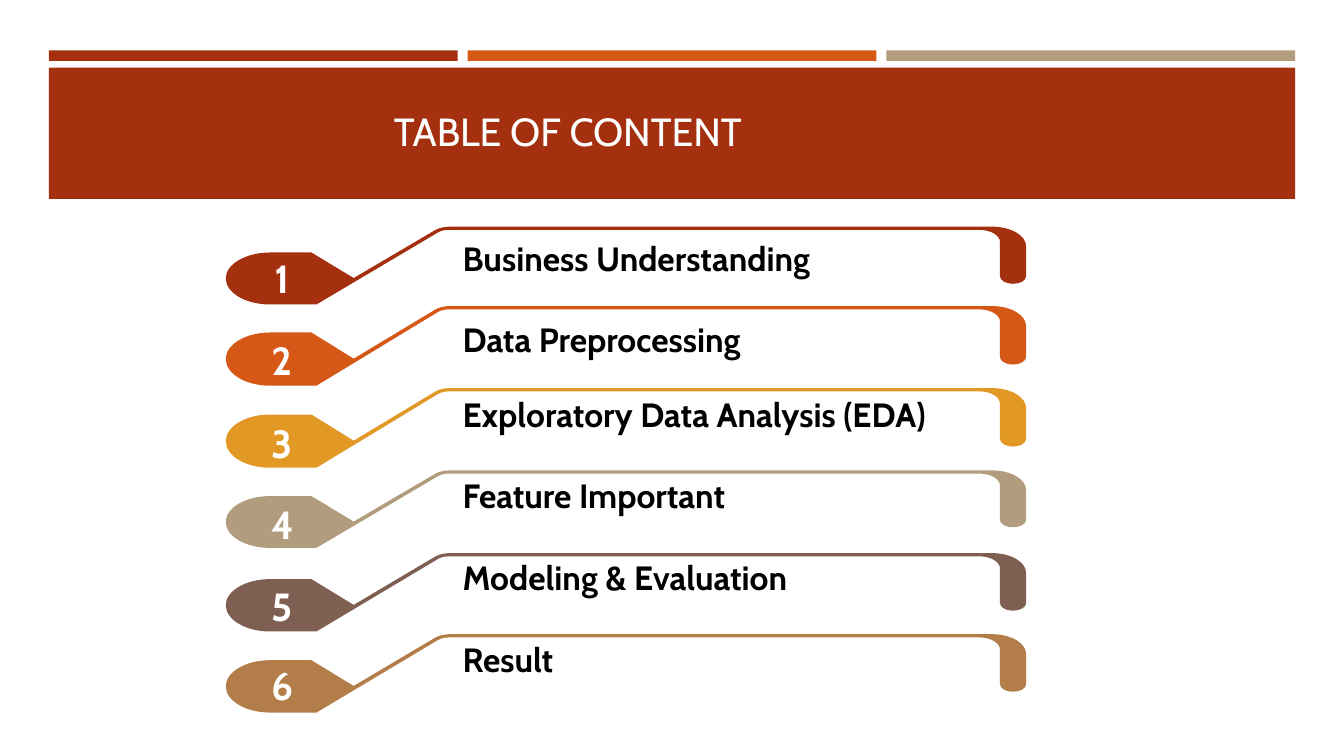
from pptx import Presentation
from pptx.dml.color import RGBColor
from pptx.enum.shapes import MSO_SHAPE
from pptx.enum.text import MSO_ANCHOR as Anchor, PP_ALIGN as Align
from pptx.oxml.ns import qn
from pptx.oxml.xmlchemy import OxmlElement
from pptx.util import Pt

RED = RGBColor(0xA5, 0x30, 0x0F)
ORANGE = RGBColor(0xD5, 0x58, 0x16)
AMBER = RGBColor(0xE1, 0x98, 0x25)
TAN = RGBColor(0xB1, 0x9C, 0x7D)
BROWN = RGBColor(0x7F, 0x5F, 0x52)
BRONZE = RGBColor(0xB2, 0x7D, 0x49)
WHITE = RGBColor(0xFF, 0xFF, 0xFF)
BLACK = RGBColor(0, 0, 0)

TITLE = {"name": "Cabin", "size": Pt(28), "bold": False}
NUMBER = {"name": "Cabin", "size": Pt(28), "bold": True}
LABEL = {"name": "Cabin", "size": Pt(24), "bold": True}

WIDE, NARROW = 392.4, 348.5

# Wording, colour, ribbon top and height, label offset and width, number offset
ENTRIES = [
    ("Business Understanding", RED, 161.9, 55.6, 4.4, WIDE, 15.9),
    ("Data Preprocessing", ORANGE, 218.6, 56.9, 5.3, NARROW, 18.1),
    ("Exploratory Data Analysis (EDA)", AMBER, 277.2, 56.9, 0.7, WIDE, 18.7),
    ("Feature Important", TAN, 336, 55.4, -0.5, NARROW, 17.5),
    ("Modeling & Evaluation", BROWN, 395.1, 56, -0.9, NARROW, 17),
    ("Result", BRONZE, 453, 56, -0.1, NARROW, 15.8),
]

# Ribbon outline: one point is a line, three points are a curve
RIBBON_HEIGHT = 56.9
RIBBON_START = (547.2, 0)
RIBBON = [
    [(160.6, 0)],
    [(156.2, 0), (151.9, 0.9), (149, 2.9)],
    [(91.4, 37.6)],
    [(61.2, 18.9)],
    [(31.7, 18.9)],
    [(14.4, 18.9), (0, 27.4), (0, 37.8)],
    [(0, 37.8)],
    [(0, 48.4), (14.2, 56.9), (31.7, 56.9)],
    [(61.2, 56.9)],
    [(64.8, 56.9)],
    [(151.2, 4.5)],
    [(153.4, 3.1), (156.2, 2.4), (159.1, 2.4)],
    [(538.6, 2.4)],
    [(546.5, 2.4), (553, 6.5), (553, 11)],
    [(553, 36.2)],
    [(553, 39.4), (557.3, 41.8), (562.3, 41.8)],
    [(562.3, 41.8)],
    [(567.4, 41.8), (571.7, 39.4), (571.7, 36.2)],
    [(571.7, 14.4)],
    [(571.7, 6.5), (560.9, 0), RIBBON_START],
]


def paint(shape, color):
    shape.shadow.inherit = False
    shape.fill.solid()
    shape.fill.fore_color.rgb = color
    shape.line.fill.background()


def add_bar(slide, left, top, width, height, color):
    bar = slide.shapes.add_shape(
        MSO_SHAPE.RECTANGLE, Pt(left), Pt(top), Pt(width), Pt(height))
    paint(bar, color)


def add_text(slide, box, text, font_format, color, frame_format, align):
    frame = slide.shapes.add_textbox(*map(Pt, box)).text_frame
    for name, value in frame_format.items():
        setattr(frame, name, value)
    paragraph = frame.paragraphs[0]
    paragraph.alignment = align
    run = paragraph.add_run()
    run.text = text
    for name, value in font_format.items():
        setattr(run.font, name, value)
    run.font.color.rgb = color


def round_corners(shape):
    """Merge the three line ends of each curved segment into one Bezier curve."""
    lines = iter(list(shape._element.iter(qn("a:lnTo"))))
    for segment in RIBBON:
        members = [next(lines) for _ in segment]
        if len(members) == 3:
            curve = OxmlElement("a:cubicBezTo")
            members[0].addprevious(curve)
            for line in members:
                curve.append(line[0])
                line.getparent().remove(line)


def add_ribbon(slide, left, top, height, color):
    stretch = height / RIBBON_HEIGHT
    outline = [RIBBON_START] + [point for segment in RIBBON for point in segment]
    points = [(Pt(x), Pt(y * stretch)) for x, y in outline]
    builder = slide.shapes.build_freeform(*points[0])
    builder.add_line_segments(points[1:], close=True)
    ribbon = builder.convert_to_shape(Pt(left), Pt(top))
    round_corners(ribbon)
    paint(ribbon, color)


def add_header(slide, left, top, width):
    # Three thin bars above the title band
    gap = 7.2
    bar_width = (width - 2 * gap) / 3
    for index, color in enumerate((RED, ORANGE, TAN)):
        add_bar(slide, left + index * (bar_width + gap), top, bar_width, 7.5, color)
    # Title band
    add_bar(slide, left, top + 12.3, width, 93.8, RED)
    add_text(slide, (left + 1, top + 17.3, 739.4, 79.9), "TABLE OF CONTENT", TITLE, WHITE,
             {"word_wrap": True, "vertical_anchor": Anchor.MIDDLE}, Align.CENTER)


def add_entry(slide, left, number, entry):
    text, color, top, height, label_offset, label_width, number_offset = entry
    add_ribbon(slide, left, top, height, color)
    add_text(slide, (left + 25.2, top + number_offset, 29.5, 41), str(number), NUMBER, WHITE,
             {"word_wrap": False, "vertical_anchor": Anchor.MIDDLE}, Align.CENTER)
    add_text(slide, (left + 169.2, top + label_offset, label_width, 36), text, LABEL, BLACK,
             {"word_wrap": True, "vertical_anchor": Anchor.BOTTOM,
              "margin_left": 0, "margin_right": 0}, Align.LEFT)


def main():
    presentation = Presentation()
    presentation.slide_width = Pt(960)
    presentation.slide_height = Pt(540)
    slide = presentation.slides.add_slide(presentation.slide_layouts[6])
    add_header(slide, 34.9, 36, 890.2)
    for number, entry in enumerate(ENTRIES, start=1):
        add_entry(slide, 161.3, number, entry)
    presentation.save("out.pptx")


if __name__ == "__main__":
    main()
